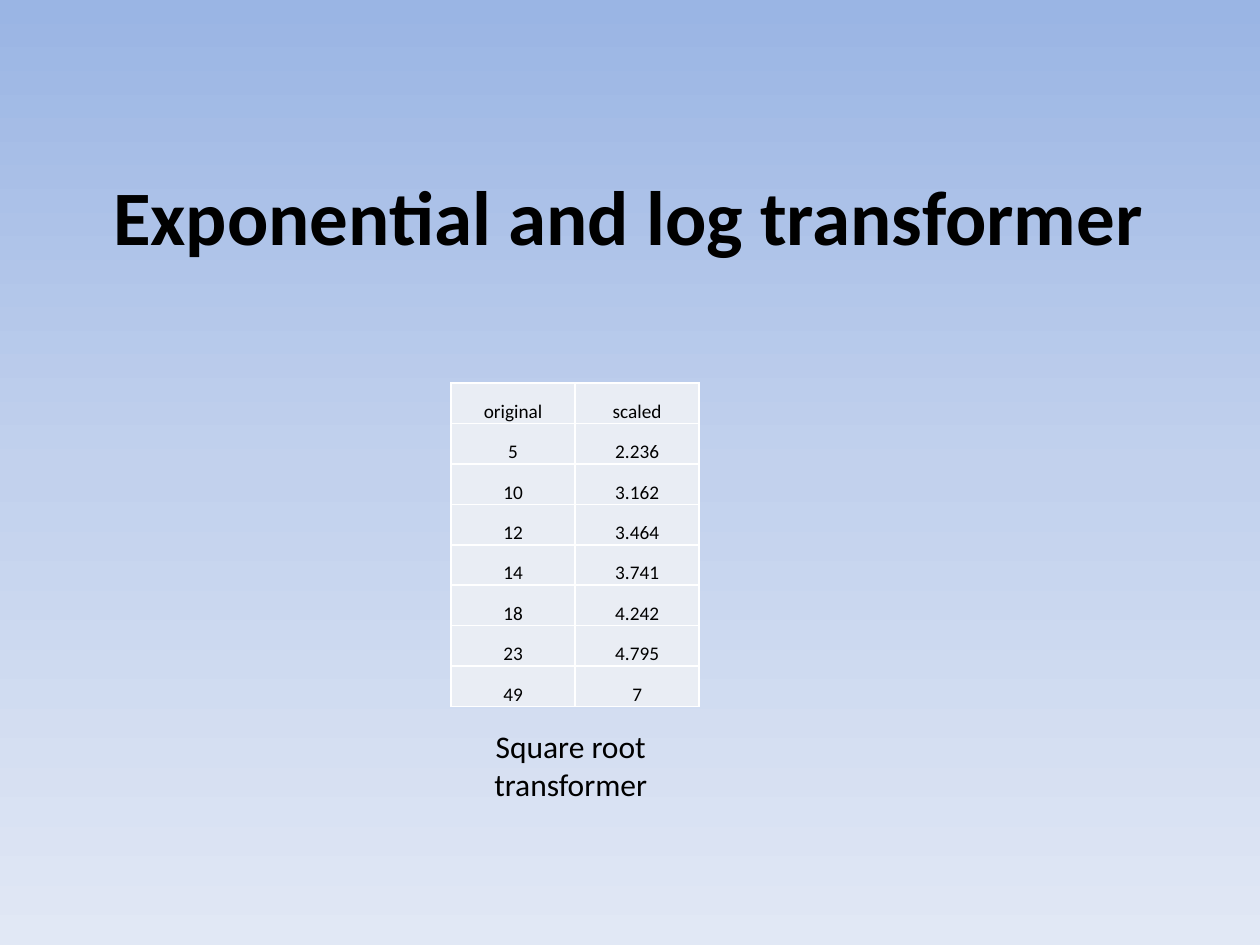
import copy

import pptx
import pptx.dml.color
import pptx.enum.text
import pptx.oxml
import pptx.oxml.ns
import pptx.util

Inches = pptx.util.Inches
RGBColor = pptx.dml.color.RGBColor
Anchor = pptx.enum.text.MSO_ANCHOR

BLACK = RGBColor(0x00, 0x00, 0x00)
WHITE = RGBColor(0xFF, 0xFF, 0xFF)
CELL_FILL = RGBColor(0xE9, 0xED, 0xF4)
SKY = (
    (0, RGBColor(0x9A, 0xB5, 0xE4)),
    (0.5, RGBColor(0xC2, 0xD1, 0xED)),
    (1, RGBColor(0xE1, 0xE8, 0xF5)),
)
SQUARE_ROOTS = (
    ("original", "scaled"),
    ("5", "2.236"),
    ("10", "3.162"),
    ("12", "3.464"),
    ("14", "3.741"),
    ("18", "4.242"),
    ("23", "4.795"),
    ("49", "7"),
)


def write(frame, text, size=18, bold=False, color=BLACK, font="Calibri"):
    """Put one centred, formatted paragraph into a text frame."""
    paragraph = frame.paragraphs[0]
    paragraph.alignment = pptx.enum.text.PP_ALIGN.CENTER
    run = paragraph.add_run()
    run.text = text
    run.font.name = font
    run.font.size = pptx.util.Pt(size)
    run.font.bold = bold
    run.font.color.rgb = color


def paint_background(slide):
    """Fill the slide with the vertical three-stop gradient."""
    fill = slide.background.fill
    fill.gradient()
    fill.gradient_angle = 270
    stops = slide.element.find(".//" + pptx.oxml.ns.qn("a:gsLst"))
    stops.append(copy.deepcopy(stops[0]))
    for stop, (position, color) in zip(fill.gradient_stops, SKY):
        stop.position = position
        stop.color.rgb = color


def place_title(slide, left, top, width, height):
    """Place the slide title in the given box."""
    title = slide.shapes.title
    title.left, title.top = Inches(left), Inches(top)
    title.width, title.height = Inches(width), Inches(height)
    title.text_frame.vertical_anchor = Anchor.MIDDLE
    write(title.text_frame, "Exponential and log transformer", size=44, bold=True)


def outline_cell(cell, color=WHITE, points=1):
    """Draw all four borders of a table cell."""
    properties = cell._tc.get_or_add_tcPr()
    for index, side in enumerate(("lnL", "lnR", "lnT", "lnB")):
        border = pptx.oxml.parse_xml(
            f'<a:{side} {pptx.oxml.ns.nsdecls("a")} w="{pptx.util.Pt(points)}">'
            f'<a:solidFill><a:srgbClr val="{color}"/></a:solidFill></a:{side}>'
        )
        properties.insert(index, border)


def place_table(slide, left, top, width, height):
    """Place the table of square roots in the given box."""
    rows, columns = len(SQUARE_ROOTS), len(SQUARE_ROOTS[0])
    table = slide.shapes.add_table(
        rows, columns, Inches(left), Inches(top), Inches(width), Inches(height)
    ).table
    table.first_row = table.horz_banding = False
    for row, values in enumerate(SQUARE_ROOTS):
        for column, value in enumerate(values):
            cell = table.cell(row, column)
            cell.margin_left = cell.margin_right = cell.margin_top = Inches(0.01)
            cell.margin_bottom = 0
            cell.vertical_anchor = Anchor.BOTTOM
            cell.fill.solid()
            cell.fill.fore_color.rgb = CELL_FILL
            outline_cell(cell)
            write(cell.text_frame, value, size=11)


def place_caption(slide, left, top, width, height):
    """Place the table caption in the given box."""
    caption = slide.shapes.add_textbox(
        Inches(left), Inches(top), Inches(width), Inches(height)
    ).text_frame
    caption.word_wrap = True
    caption.auto_size = pptx.enum.text.MSO_AUTO_SIZE.SHAPE_TO_FIT_TEXT
    write(caption, "Square root transformer")


def build():
    """Build the slide and save the presentation."""
    deck = pptx.Presentation()
    deck.slide_width, deck.slide_height = Inches(10), Inches(7.5)
    slide = deck.slides.add_slide(deck.slide_layouts[5])
    paint_background(slide)
    place_title(slide, 0.49, 1.08, 9, 1.25)
    place_table(slide, 3.58, 3.04, 1.97, 2.57)
    place_caption(slide, 3.35, 5.72, 2.36, 0.71)
    deck.save("out.pptx")


build()
